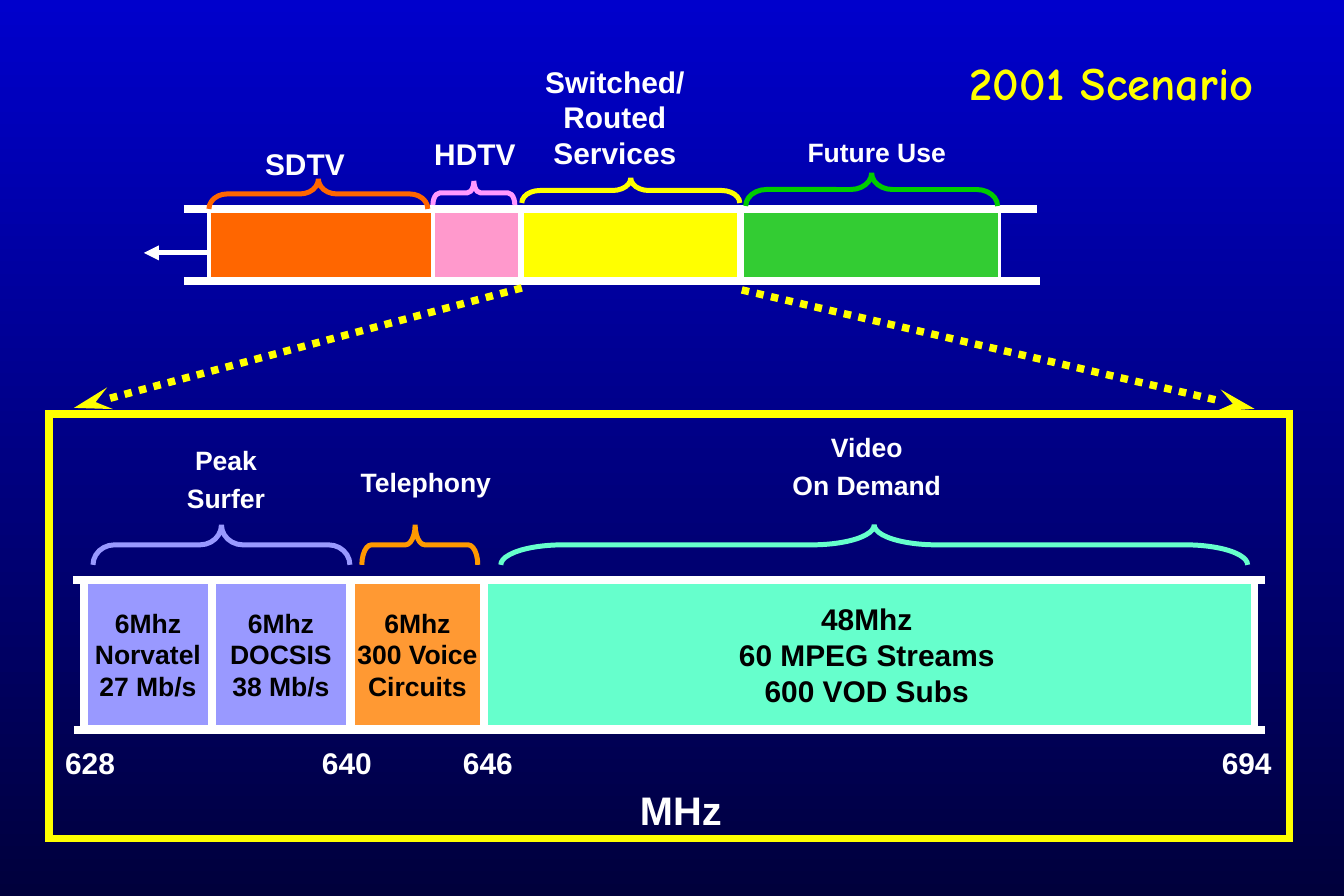
"""Builds the 2001 spectrum scenario slide."""
from lxml.etree import SubElement
from pptx import Presentation
from pptx.dml.color import RGBColor
from pptx.enum.dml import MSO_LINE
from pptx.enum.shapes import MSO_CONNECTOR, MSO_SHAPE as SHAPE
from pptx.enum.text import MSO_ANCHOR, PP_ALIGN
from pptx.oxml.ns import qn
from pptx.util import Inches, Pt

PX = Inches(1) / 119.5
COLORS = {
    "top": "0000CC", "bottom": "00003C", "white": "FFFFFF", "black": "000000",
    "yellow": "FFFF00", "orange": "FF6600", "pink": "FF99CC", "magenta": "FF99FF",
    "green": "33CC33", "leaf": "00CC00", "lilac": "9999FF", "amber": "FF9933",
    "gold": "FF9900", "mint": "66FFCC",
}
FRAME = (49, 414, 1290, 839)
BAND_ROWS = {
    "services": {"y": (209, 280), "line": 2.25, "bands": [
        (209, 433, "orange", [], 18), (433, 520, "pink", [], 18),
        (522, 739, "yellow", [], 18), (742, 1000, "green", [], 18)]},
    "channels": {"y": (580, 729), "line": 4.5, "bands": [
        (84, 212, "lilac", ["6Mhz", "Norvatel", "27 Mb/s"], 16),
        (212, 350, "lilac", ["6Mhz", "DOCSIS", "38 Mb/s"], 16),
        (479, 1255, "mint", ["48Mhz", "60 MPEG Streams", "600 VOD Subs"], 18),
        (351, 484, "amber", ["6Mhz", "300 Voice", "Circuits"], 16)]},
}
RAILS = [(184, 209, 1037, 209), (184, 281, 1040, 281),
         (73, 580, 1265, 580), (74, 730, 1265, 730)]
ARROWS = [
    (209, 253, 144, 253, "white", 3, {"type": "triangle"}, None),
    (522, 288, 74, 408, "yellow", 4.5, {"type": "stealth", "len": "lg"}, MSO_LINE.ROUND_DOT),
    (742, 290, 1255, 409, "yellow", 4.5, {"type": "stealth", "len": "lg"}, MSO_LINE.ROUND_DOT),
]
BRACES = [
    (209, 428, 179, 209, "orange", 0.5), (433, 515, 181, 205, "magenta", 0.5),
    (522, 740, 178, 203, "yellow", 0.5), (746, 998, 173, 206, "leaf", 0.5),
    (93, 350, 525, 565, "lilac", 0.5), (362, 478, 525, 565, "gold", 0.46),
    (501, 1248, 525, 565, "mint", 0.5),
]
LABELS = [
    (305, 164, ["SDTV"], 18), (475, 154, ["HDTV"], 18),
    (615, 117, ["Switched/", "Routed", "Services"], 18),
    (877, 152, ["Future Use"], 16), (426, 482, ["Telephony"], 16),
    (90, 763, ["628"], 18), (347, 763, ["640"], 18),
    (488, 763, ["646"], 18), (1247, 763, ["694"], 18), (681, 810, ["MHz"], 24),
]
SPACED_LABELS = [(226, 483, ["Peak", "Surfer"], 16), (867, 470, ["Video", "On Demand"], 16)]
TITLE = (1112, 82, ["2001 Scenario"], 28)
LABEL_W, LABEL_H, TITLE_W = 160, 40, 340


def px(*values):
    return [round(v * PX) for v in values]


def rgb(name):
    return RGBColor.from_string(COLORS[name])


def style_line(line, color, width):
    line.color.rgb = rgb(color)
    line.width = Pt(width)


def write(sp, lines, size, color, font="Arial", **spacing):
    tf = sp.text_frame
    frame = {"word_wrap": False, "vertical_anchor": MSO_ANCHOR.MIDDLE, "margin_left": 0,
             "margin_right": 0, "margin_top": 0, "margin_bottom": 0}
    for name, value in frame.items():
        setattr(tf, name, value)
    for i, text in enumerate(lines):
        p = tf.add_paragraph() if i else tf.paragraphs[0]
        p.alignment = PP_ALIGN.CENTER
        for name, value in spacing.items():
            if i or name != "space_before":
                setattr(p, name, value)
        r = p.add_run()
        r.text = text
        for name, value in {"name": font, "size": Pt(size), "bold": True}.items():
            setattr(r.font, name, value)
        r.font.color.rgb = rgb(color)


def add_shape(s, kind, x1, y1, x2, y2, line, width, fill=None):
    sp = s.shapes.add_shape(kind, *px(x1, y1, x2 - x1, y2 - y1))
    sp.shadow.inherit = False
    if fill:
        sp.fill.solid()
        sp.fill.fore_color.rgb = rgb(fill)
    else:
        sp.fill.background()
    style_line(sp.line, line, width)
    SubElement(sp._element.spPr.find(qn("a:ln")), qn("a:miter"), lim="800000")
    return sp


def add_line(s, x1, y1, x2, y2, color, width, head=None, dash=None):
    cn = s.shapes.add_connector(MSO_CONNECTOR.STRAIGHT, *px(x1, y1, x2, y2))
    style_line(cn.line, color, width)
    if dash:
        cn.line.dash_style = dash
    if head:
        SubElement(cn._element.spPr.find(qn("a:ln")), qn("a:tailEnd"), head)
    SubElement(cn._element.spPr, qn("a:effectLst"))


def add_brace(s, left, right, top, bottom, color, tip):
    length, depth = right - left, bottom - top
    cx, cy = (left + right) / 2, (top + bottom) / 2
    sp = add_shape(s, SHAPE.RIGHT_BRACE, cx - depth / 2, cy - length / 2,
                   cx + depth / 2, cy + length / 2, color, 3)
    sp.rotation = 270
    sp.adjustments[0] = length / 12 / depth
    sp.adjustments[1] = tip


def add_label(s, cx, cy, lines, size, color="white", width=LABEL_W, **options):
    height = LABEL_H * len(lines)
    sp = s.shapes.add_textbox(*px(cx - width / 2, cy - height / 2, width, height))
    write(sp, lines, size, color, **options)


def main():
    prs = Presentation()
    prs.slide_width, prs.slide_height = Inches(11.25), Inches(7.5)
    s = prs.slides.add_slide(prs.slide_layouts[6])
    fill = s.background.fill
    fill.gradient()
    fill.gradient_angle = 270
    for stop, name in zip(fill.gradient_stops, ("top", "bottom")):
        stop.color.rgb = rgb(name)

    for row in BAND_ROWS.values():
        top, bottom = row["y"]
        for left, right, color, lines, size in row["bands"]:
            sp = add_shape(s, SHAPE.RECTANGLE, left, top, right, bottom,
                           "white", row["line"], color)
            if lines:
                write(sp, lines, size, "black")
    for rail in RAILS:
        add_line(s, *rail, "white", 4.5)
    for arrow in ARROWS:
        add_line(s, *arrow)
    add_shape(s, SHAPE.RECTANGLE, *FRAME, "yellow", 4.5)
    for brace in BRACES:
        add_brace(s, *brace)
    for label in LABELS:
        add_label(s, *label)
    for label in SPACED_LABELS:
        add_label(s, *label, line_spacing=0.7, space_before=Pt(10))
    add_label(s, *TITLE, "yellow", TITLE_W, font="Comic Neue")
    prs.save("out.pptx")


if __name__ == "__main__":
    main()
